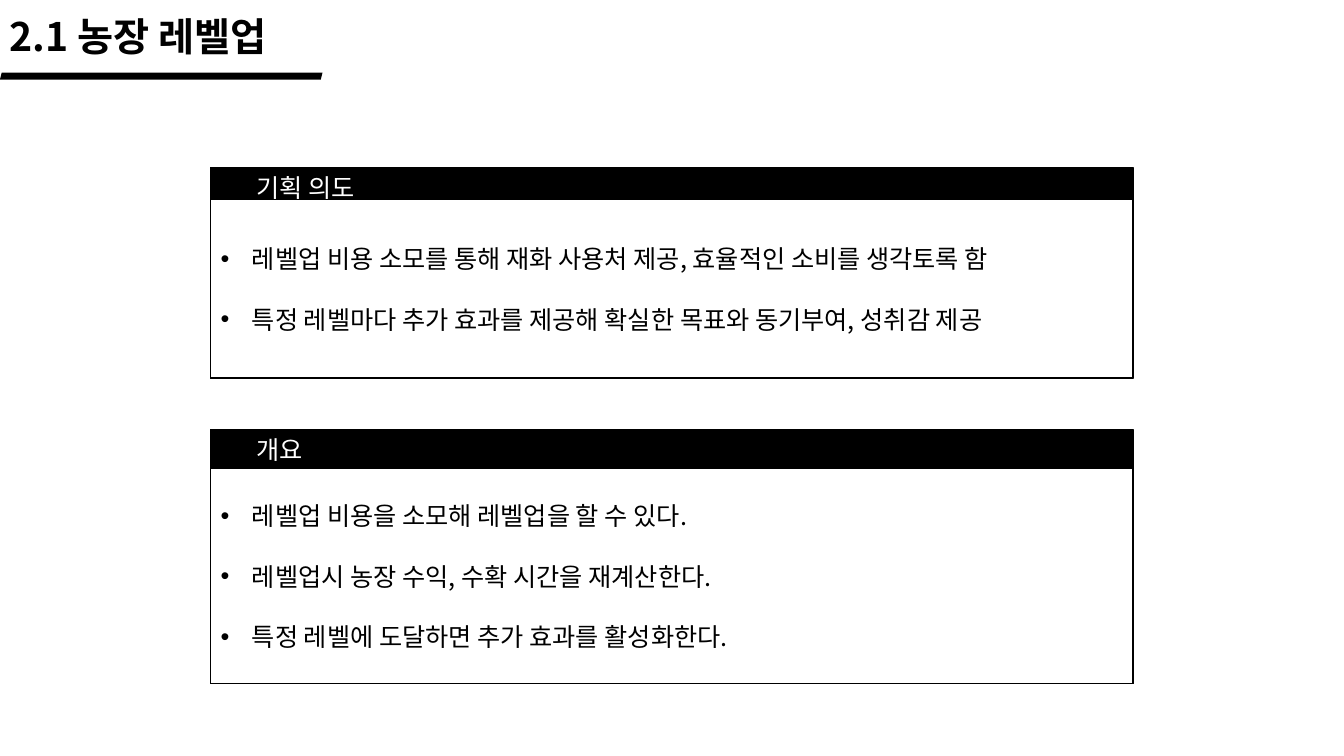
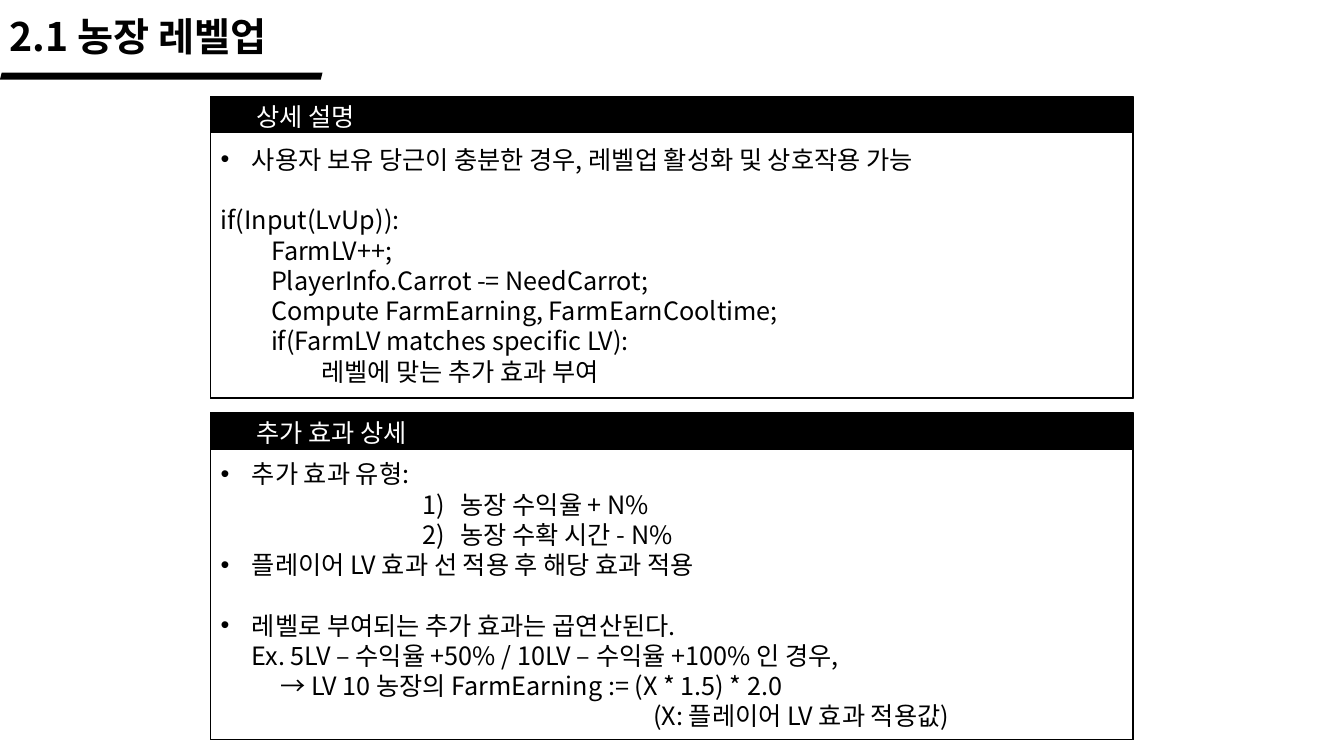
from lxml import etree
from pptx import Presentation
from pptx import util as u
from pptx.dml.color import RGBColor
from pptx.enum import shapes, text
from pptx.oxml import ns

WIDTH, HEIGHT = u.Inches(13.33), u.Inches(7.5)
FONT = "Noto Sans CJK KR"
BLACK, WHITE = "000000", "FFFFFF"
TITLE = "2.1 농장 레벨업"
TITLE_SIZE, BODY_SIZE, LINE_FACTOR = 28, 18, 1.2
PANEL_LEFT, PANEL_WIDTH = 15.68, 68.62

STYLES = {
    "plain": {},
    "bullet": {"margin": 0.31, "hanging": 0.31, "mark": ("a:buChar", {"char": "•"})},
    "gap bullet": {"margin": 0.31, "hanging": 0.31, "mark": ("a:buChar", {"char": "•"}), "gap": 1},
    "number": {"margin": 2.38, "hanging": 0.38, "mark": ("a:buAutoNum", {"type": "arabicParenR"})},
    "gap code": {"gap": 1},
    "code 1": {"margin": 0.5},
    "code 2": {"margin": 1},
    "example": {"margin": 0.31},
    "result": {"margin": 0.59},
    "remark": {"margin": 4.29},
}

SLIDES = [
    [
        ("기획 의도", 22.13, 27.87, 4.27, [
            ("bullet", "레벨업 비용 소모를 통해 재화 사용처 제공, 효율적인 소비를 생각토록 함"),
            ("gap bullet", "특정 레벨마다 추가 효과를 제공해 확실한 목표와 동기부여, 성취감 제공"),
        ]),
        ("개요", 56.8, 33.6, 5.2, [
            ("bullet", "레벨업 비용을 소모해 레벨업을 할 수 있다."),
            ("gap bullet", "레벨업시 농장 수익, 수확 시간을 재계산한다."),
            ("gap bullet", "특정 레벨에 도달하면 추가 효과를 활성화한다."),
        ]),
    ],
    [
        ("상세 설명", 12.8, 39.87, 4.67, [
            ("bullet", "사용자 보유 당근이 충분한 경우, 레벨업 활성화 및 상호작용 가능"),
            ("gap code", "if(Input(LvUp)):"),
            ("code 1", "FarmLV++;"),
            ("code 1", "PlayerInfo.Carrot -= NeedCarrot;"),
            ("code 1", "Compute FarmEarning, FarmEarnCooltime;"),
            ("code 1", "if(FarmLV matches specific LV):"),
            ("code 2", "레벨에 맞는 추가 효과 부여"),
        ]),
        ("추가 효과 상세", 54.53, 43.33, 4.93, [
            ("bullet", "추가 효과 유형:"),
            ("number", "농장 수익율 + N%"),
            ("number", "농장 수확 시간 - N%"),
            ("bullet", "플레이어 LV 효과 선 적용 후 해당 효과 적용"),
            ("gap bullet", "레벨로 부여되는 추가 효과는 곱연산된다."),
            ("example", "Ex. 5LV – 수익율 +50% / 10LV – 수익율 +100% 인 경우,"),
            ("result", "→ LV 10 농장의 FarmEarning := (X * 1.5) * 2.0"),
            ("remark", "(X: 플레이어 LV 효과 적용값)"),
        ]),
    ],
]


def color(value):
    return RGBColor.from_string(value)


def place(left, top, width, height):
    return (int(WIDTH * left / 100), int(HEIGHT * top / 100),
            int(WIDTH * width / 100), int(HEIGHT * height / 100))


def set_format(target, values):
    for name, value in values.items():
        setattr(target, name, value)


def write_paragraph(paragraph, words, size, ink, bold=False, margin=0, hanging=0, mark=None, gap=0):
    line = u.Pt(size * LINE_FACTOR)
    set_format(paragraph, {"alignment": text.PP_ALIGN.LEFT, "line_spacing": line,
                           "space_before": int(line * gap)})
    properties = paragraph._p.get_or_add_pPr()
    properties.set("marL", str(u.Inches(margin)))
    properties.set("indent", str(-u.Inches(hanging)))
    if mark:
        tag, attributes = mark
        etree.SubElement(properties, ns.qn("a:buFont"), typeface="Arial")
        etree.SubElement(properties, ns.qn(tag), **attributes)
    run = paragraph.add_run()
    run.text = words
    set_format(run.font, {"name": FONT, "size": u.Pt(size), "bold": bold})
    run.font.color.rgb = color(ink)
    etree.SubElement(run._r.get_or_add_rPr(), ns.qn("a:ea"), typeface=FONT)


def add_box(slide, kind, box, fill, outlined=True):
    shape = slide.shapes.add_shape(kind, *place(*box))
    shape.shadow.inherit = False
    shape.fill.solid()
    shape.fill.fore_color.rgb = color(fill)
    if outlined:
        shape.line.color.rgb = color(BLACK)
        shape.line.width = u.Pt(1)
    else:
        shape.line.fill.background()
    return shape


def add_title(slide):
    frame = slide.shapes.add_textbox(*place(0, 0.93, 25.5, 7.6)).text_frame
    frame.word_wrap = True
    write_paragraph(frame.paragraphs[0], TITLE, TITLE_SIZE, BLACK, bold=True)
    add_box(slide, shapes.MSO_SHAPE.PARALLELOGRAM, (0, 9.6, 24, 0.93), BLACK, outlined=False)


def add_panel(slide, heading, top, height, header, lines):
    rectangle = shapes.MSO_SHAPE.RECTANGLE
    back = add_box(slide, rectangle, (PANEL_LEFT, top, PANEL_WIDTH, height), BLACK)
    body = add_box(slide, rectangle, (PANEL_LEFT, top + header, PANEL_WIDTH, height - header), WHITE)
    set_format(back.text_frame, {"vertical_anchor": text.MSO_ANCHOR.TOP, "margin_left": u.Inches(0.45)})
    write_paragraph(back.text_frame.paragraphs[0], heading, BODY_SIZE, WHITE)
    frame = body.text_frame
    set_format(frame, {"vertical_anchor": text.MSO_ANCHOR.MIDDLE, "word_wrap": True})
    for index, (style, words) in enumerate(lines):
        paragraph = frame.add_paragraph() if index else frame.paragraphs[0]
        write_paragraph(paragraph, words, BODY_SIZE, BLACK, **STYLES[style])


def main():
    presentation = Presentation()
    set_format(presentation, {"slide_width": WIDTH, "slide_height": HEIGHT})
    for panels in SLIDES:
        slide = presentation.slides.add_slide(presentation.slide_layouts[6])
        add_title(slide)
        for panel in panels:
            add_panel(slide, *panel)
    presentation.save("out.pptx")


if __name__ == "__main__":
    main()
